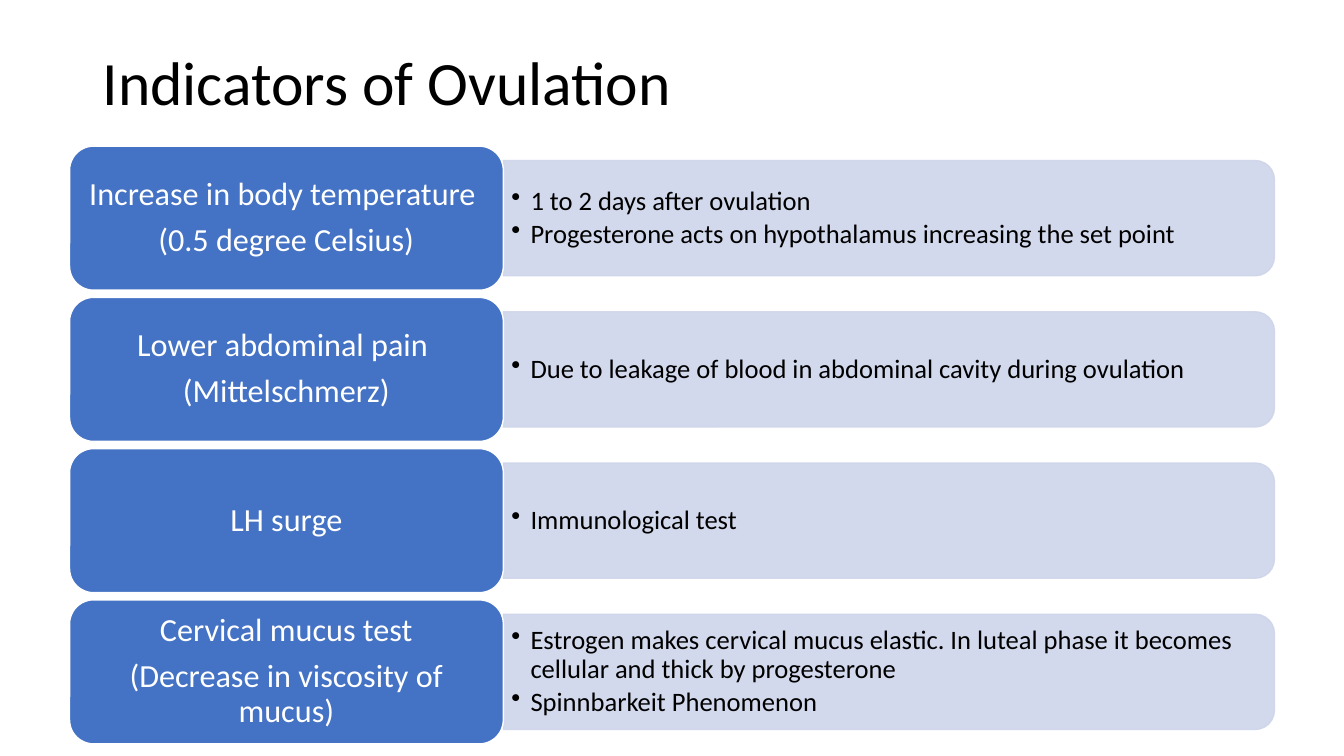
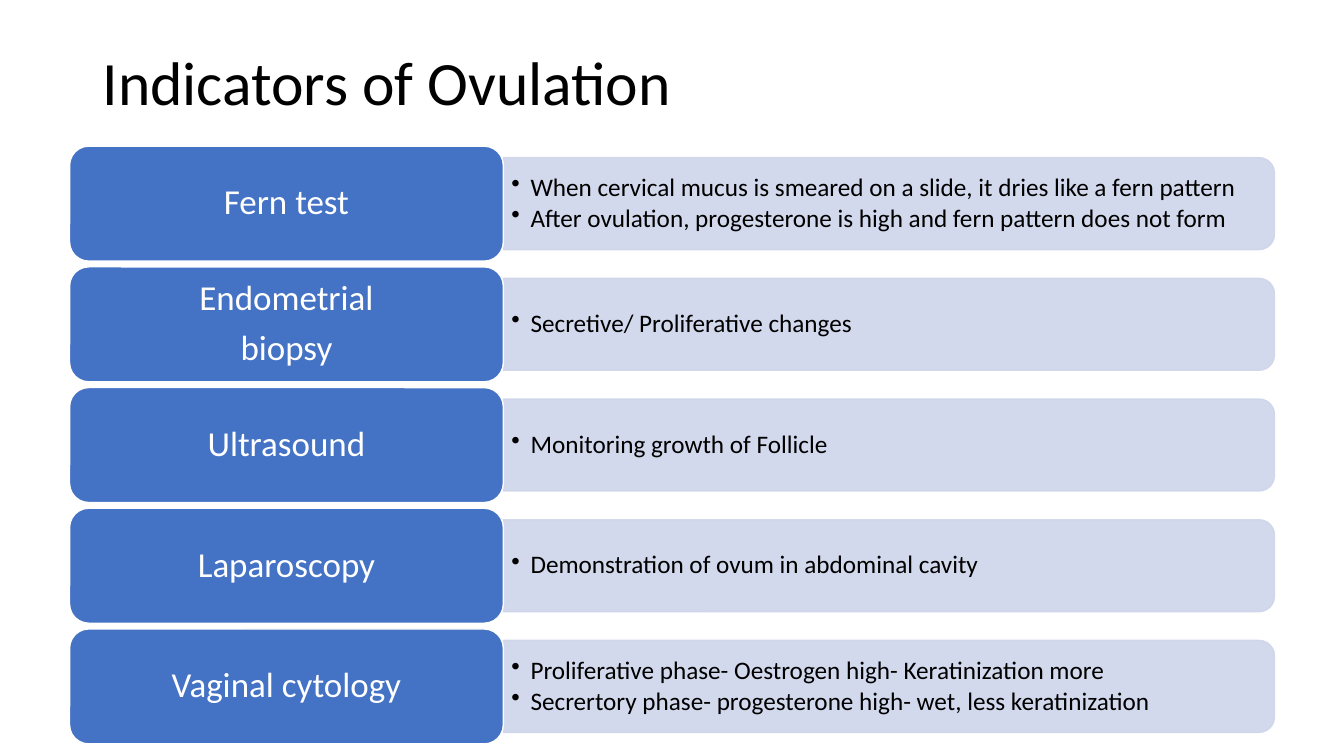
from dataclasses import dataclass

from lxml.etree import SubElement
from pptx import Presentation
from pptx.dml.color import RGBColor
from pptx.enum.shapes import MSO_SHAPE as Shape
from pptx.enum.text import MSO_ANCHOR as Anchor, PP_ALIGN as Align
from pptx.oxml.ns import qn
from pptx.util import Inches, Pt


@dataclass(frozen=True)
class Theme:
    font: str = "Calibri"
    black: str = "000000"
    white: str = "FFFFFF"
    label_fill: str = "4472C4"
    detail_fill: str = "CFD5EA"
    detail_opacity: int = 90
    line_width: float = 1
    line_spacing: float = 0.9
    title_size: int = 44


@dataclass(frozen=True)
class Box:
    left: float
    top: float
    width: float
    height: float

    def lengths(self):
        return [Inches(value) for value in (self.left, self.top, self.width, self.height)]


THEME = Theme()
TITLE_BOX = Box(0.92, 0.12, 11.5, 1.45)
LIST_BOX = Box(0.69, 1.45, 11.95, 5.93)
LABEL_SHARE = 0.36   # of the list width
DETAIL_SHARE = 0.8   # of the row height
GAP_SHARE = 0.05     # of the row height
BULLET_INDENT = 0.19

TITLE = "Indicators of Ovulation"
SLIDES = [
    dict(label_size=23, detail_size=19, rows=[
        (["Increase in body temperature ", "(0.5 degree Celsius)"],
         ["1 to 2 days after ovulation",
          "Progesterone acts on hypothalamus increasing the set point"]),
        (["Lower abdominal pain ", "(Mittelschmerz)"],
         ["Due to leakage of blood in abdominal cavity during ovulation"]),
        (["LH surge"], ["Immunological test"]),
        (["Cervical mucus test", "(Decrease in viscosity of mucus)"],
         ["Estrogen makes cervical mucus elastic. In luteal phase it becomes "
          "cellular and thick by progesterone",
          "Spinnbarkeit Phenomenon"]),
    ]),
    dict(label_size=25, detail_size=18, rows=[
        (["Fern test"],
         ["When cervical mucus is smeared on a slide, it dries like a fern pattern",
          "After ovulation, progesterone is high and fern pattern does not form"]),
        (["Endometrial", "biopsy"], ["Secretive/ Proliferative changes"]),
        (["Ultrasound"], ["Monitoring growth of Follicle"]),
        (["Laparoscopy"], ["Demonstration of ovum in abdominal cavity"]),
        (["Vaginal cytology"],
         ["Proliferative phase- Oestrogen high- Keratinization more",
          "Secrertory phase- progesterone high- wet, less keratinization"]),
    ]),
]


def add_bullet(paragraph):
    properties = paragraph._p.get_or_add_pPr()
    properties.set("marL", str(Inches(BULLET_INDENT)))
    properties.set("indent", str(-Inches(BULLET_INDENT)))
    SubElement(properties, qn("a:buChar")).set("char", "•")


def write_text(shape, lines, *, size, color=THEME.black, align=Align.LEFT,
               space_after=0.0, bullets=False, insets=(0.1, 0.05)):
    """Fill a shape with paragraphs; space_after is a share of the type size."""
    frame = shape.text_frame
    frame.word_wrap = True
    frame.vertical_anchor = Anchor.MIDDLE
    frame.margin_left = frame.margin_right = Inches(insets[0])
    frame.margin_top = frame.margin_bottom = Inches(insets[1])
    for index, line in enumerate(lines):
        paragraph = frame.add_paragraph() if index else frame.paragraphs[0]
        paragraph.alignment = align
        paragraph.line_spacing = THEME.line_spacing
        paragraph.space_after = Pt(space_after * size)
        if bullets:
            add_bullet(paragraph)
        run = paragraph.add_run()
        run.text = line
        run.font.name = THEME.font
        run.font.size = Pt(size)
        run.font.color.rgb = RGBColor.from_string(color)


def add_panel(slide, kind, box, fill, line, opacity=100):
    shape = slide.shapes.add_shape(kind, *box.lengths())
    shape.shadow.inherit = False
    shape.fill.solid()
    shape.fill.fore_color.rgb = RGBColor.from_string(fill)
    shape.line.color.rgb = RGBColor.from_string(line)
    shape.line.width = Pt(THEME.line_width)
    if opacity < 100:
        for color in shape._element.spPr.iter(qn("a:srgbClr")):
            SubElement(color, qn("a:alpha")).set("val", str(opacity * 1000))
    return shape


def add_title(slide, box, title):
    write_text(slide.shapes.add_textbox(*box.lengths()), [title], size=THEME.title_size)


def add_detail(slide, box, lines, size):
    """Bar with rounded right corners: an upright shape turned a quarter."""
    upright = Box(box.left + (box.width - box.height) / 2,
                  box.top - (box.width - box.height) / 2, box.height, box.width)
    bar = add_panel(slide, Shape.ROUND_2_SAME_RECTANGLE, upright,
                    THEME.detail_fill, THEME.detail_fill, THEME.detail_opacity)
    bar.rotation = 90
    write_text(slide.shapes.add_textbox(*box.lengths()), lines, size=size,
               space_after=0.15, bullets=True, insets=(0.08, 0.04))


def add_label(slide, box, lines, size):
    label = add_panel(slide, Shape.ROUNDED_RECTANGLE, box, THEME.label_fill, THEME.white)
    write_text(label, lines, size=size, color=THEME.white, align=Align.CENTER,
               space_after=0.35)


def add_indicator_list(slide, box, rows, label_size, detail_size):
    row_height = box.height / (len(rows) + GAP_SHARE * (len(rows) - 1))
    label_width = box.width * LABEL_SHARE
    detail_height = row_height * DETAIL_SHARE
    for index, (label, details) in enumerate(rows):
        top = box.top + index * row_height * (1 + GAP_SHARE)
        detail_box = Box(box.left + label_width, top + (row_height - detail_height) / 2,
                         box.width - label_width, detail_height)
        add_detail(slide, detail_box, details, detail_size)
        add_label(slide, Box(box.left, top, label_width, row_height), label, label_size)


def main():
    presentation = Presentation()
    presentation.slide_width = Inches(13.33)
    presentation.slide_height = Inches(7.5)
    for content in SLIDES:
        slide = presentation.slides.add_slide(presentation.slide_layouts[6])
        add_title(slide, TITLE_BOX, TITLE)
        add_indicator_list(slide, LIST_BOX, **content)
    presentation.save("out.pptx")


if __name__ == "__main__":
    main()
